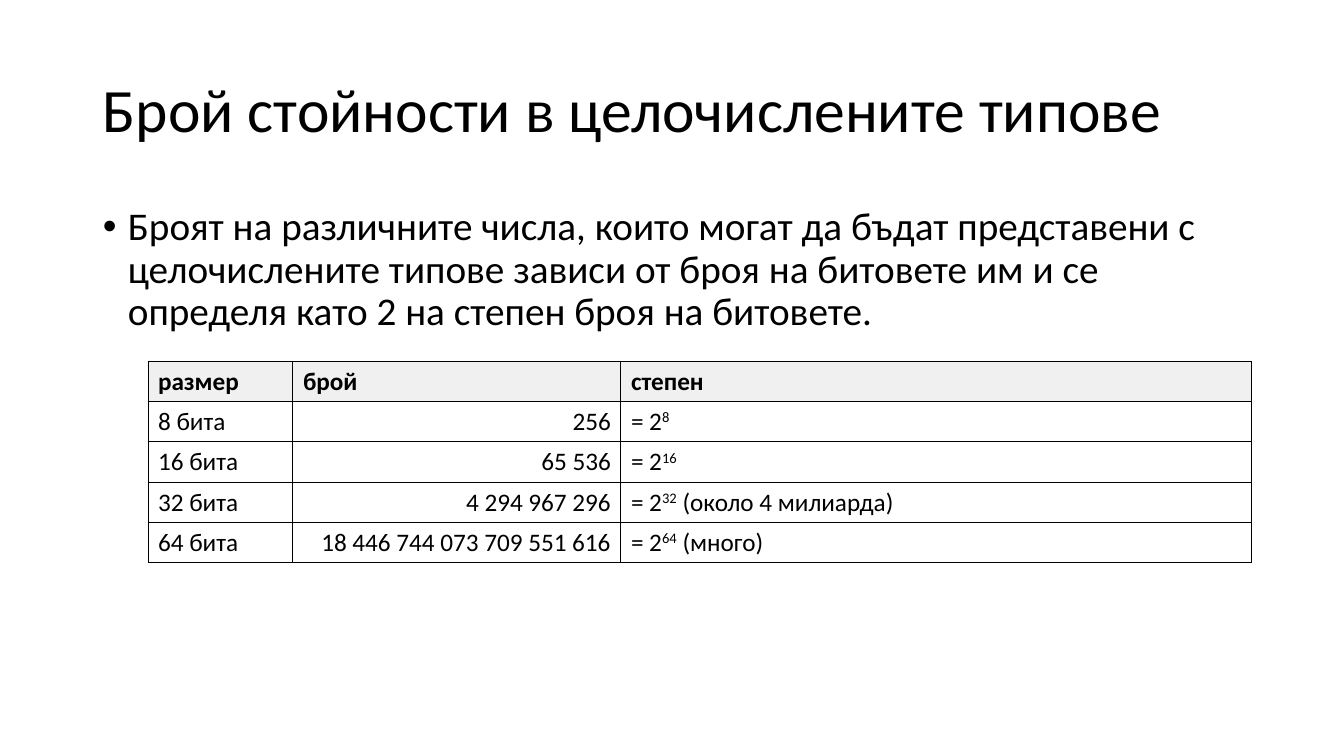
from lxml.etree import SubElement
from pptx import Presentation
from pptx.dml.color import RGBColor
from pptx.enum.text import MSO_ANCHOR as Anchor, PP_ALIGN as Align
from pptx.oxml import parse_xml
from pptx.oxml.ns import nsdecls, qn
from pptx.util import Pt

TITLE = "Брой стойности в целочислените типове"
BODY = (
    "Броят на различните числа, които могат да бъдат представени с "
    "целочислените типове зависи от броя на битовете им и се определя "
    "като 2 на степен броя на битовете."
)
HEADINGS = ("размер", "брой", "степен")
SIZES = [
    (8, "256", ""),
    (16, "65 536", ""),
    (32, "4 294 967 296", " (около 4 милиарда)"),
    (64, "18 446 744 073 709 551 616", " (много)"),
]

SLIDE = (1344, 756)
TITLE_BOX = (93, 40, 1159, 146)
BODY_BOX = (93, 202, 1159, 480)
TABLE_ORIGIN = (148, 361)
COLUMNS = (145, 328, 631)
ROW_HEIGHT = 36
BULLET_INDENT = 25
SUPERSCRIPT = 30000

FONT = "Calibri"
BLACK, WHITE, GREY = "000000", "FFFFFF", "F0F0F0"
HEAD = {"size": Pt(18), "bold": True}
CELL = {"size": Pt(18), "bold": False}


def px(value):
    return round(value * 12192000 / 1344)


def color(value):
    return RGBColor.from_string(value)


def apply(target, values):
    for name, value in values.items():
        setattr(target, name, value)


def add_span(para, text, style):
    span = para.add_run()
    span.text = text
    apply(span.font, {"name": FONT, **style})
    span.font.color.rgb = color(BLACK)
    return span


def add_text(page, place, text, size, anchor, spacing):
    box = page.shapes.add_textbox(*map(px, place))
    apply(box.text_frame, {"word_wrap": True, "vertical_anchor": anchor})
    para = box.text_frame.paragraphs[0]
    apply(para, {"line_spacing": 0.9, **spacing})
    add_span(para, text, {"size": Pt(size)})
    return para


def add_bullet(para):
    props = para._p.get_or_add_pPr()
    props.set("marL", str(px(BULLET_INDENT)))
    props.set("indent", str(-px(BULLET_INDENT)))
    SubElement(props, qn("a:buFont")).set("typeface", "Arial")
    SubElement(props, qn("a:buChar")).set("char", "•")


def format_cell(cell, fill):
    props = cell._tc.get_or_add_tcPr()
    for side in "LRTB":
        props.append(parse_xml(
            f'<a:ln{side} {nsdecls("a")} w="{Pt(0.75)}"><a:solidFill>'
            f'<a:srgbClr val="{BLACK}"/></a:solidFill></a:ln{side}>'))
    cell.fill.solid()
    cell.fill.fore_color.rgb = color(fill)
    cell.vertical_anchor = Anchor.MIDDLE


def add_size_table(page):
    row_count = len(SIZES) + 1
    frame = page.shapes.add_table(
        row_count, len(COLUMNS), *map(px, TABLE_ORIGIN),
        px(sum(COLUMNS)), px(ROW_HEIGHT * row_count))
    table = frame.table
    for column, width in zip(table.columns, COLUMNS):
        column.width = px(width)
    for index, row in enumerate(table.rows):
        row.height = px(ROW_HEIGHT)
        for cell in row.cells:
            format_cell(cell, WHITE if index else GREY)

    for index, heading in enumerate(HEADINGS):
        add_span(table.cell(0, index).text_frame.paragraphs[0], heading, HEAD)
    for index, (bits, count, remark) in enumerate(SIZES, 1):
        size, number, power = (
            cell.text_frame.paragraphs[0] for cell in table.rows[index].cells)
        add_span(size, f"{bits} бита", CELL)
        number.alignment = Align.RIGHT
        add_span(number, count, CELL)
        add_span(power, "= 2", CELL)
        exponent = add_span(power, str(bits), CELL)
        exponent._r.get_or_add_rPr().set("baseline", str(SUPERSCRIPT))
        if remark:
            add_span(power, remark, CELL)


def main():
    deck = Presentation()
    deck.slide_width, deck.slide_height = map(px, SLIDE)
    page = deck.slides.add_slide(deck.slide_layouts[6])
    add_text(page, TITLE_BOX, TITLE, 44, Anchor.MIDDLE, {})
    body = add_text(page, BODY_BOX, BODY, 28, Anchor.TOP, {"space_before": Pt(10)})
    add_bullet(body)
    add_size_table(page)
    deck.save("out.pptx")


if __name__ == "__main__":
    main()
